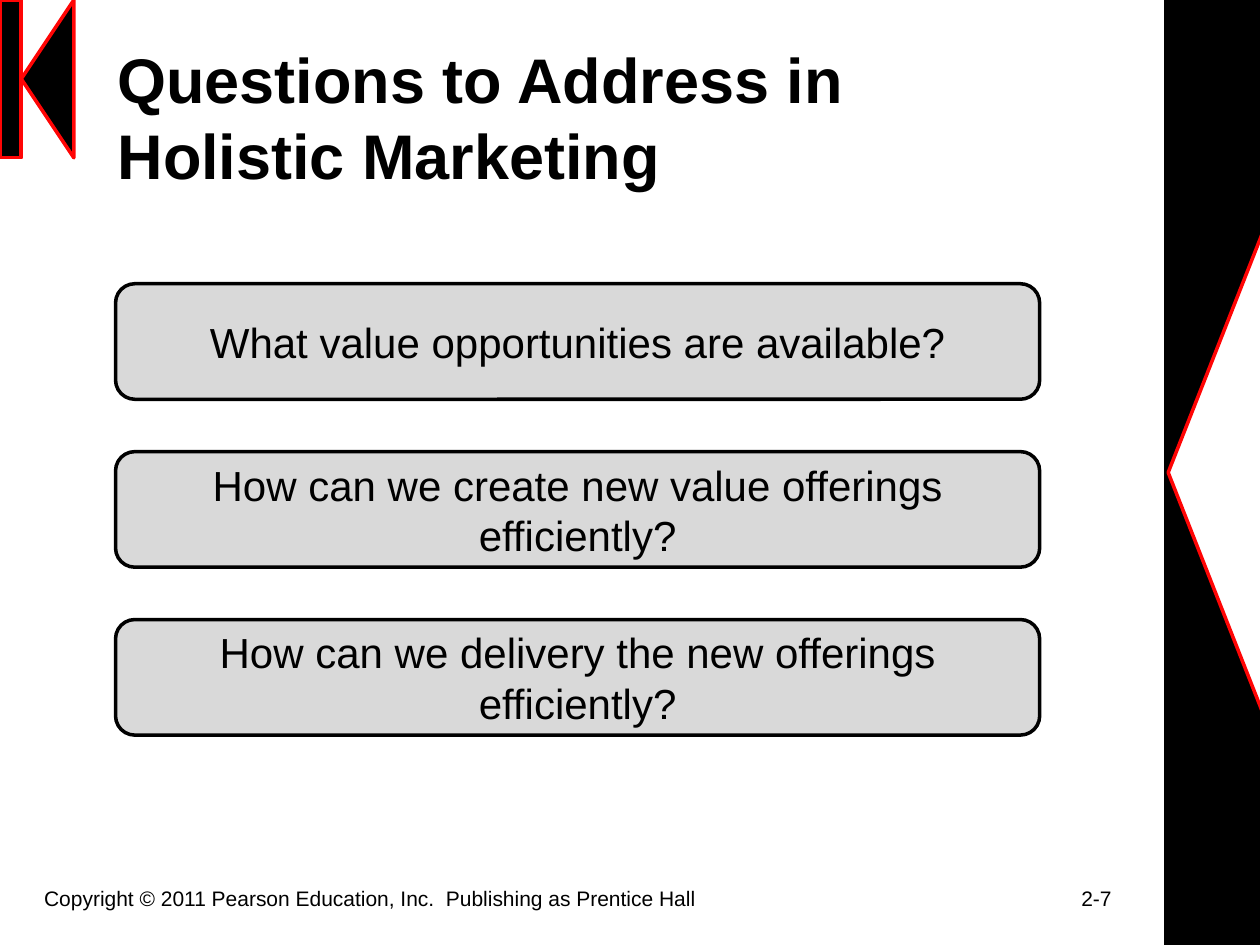
from dataclasses import dataclass

from lxml import etree
from pptx import Presentation
from pptx.dml.color import RGBColor
from pptx.enum.shapes import MSO_SHAPE
from pptx.enum.text import MSO_ANCHOR, PP_ALIGN
from pptx.oxml.ns import qn
from pptx.util import Cm, Pt

RECTANGLE = MSO_SHAPE.RECTANGLE
ROUNDED = MSO_SHAPE.ROUNDED_RECTANGLE
TRIANGLE = MSO_SHAPE.ISOSCELES_TRIANGLE
MIDDLE, TOP = MSO_ANCHOR.MIDDLE, MSO_ANCHOR.TOP
CENTER, LEFT = PP_ALIGN.CENTER, PP_ALIGN.LEFT


@dataclass(frozen=True)
class Theme:
    black: RGBColor = RGBColor(0x00, 0x00, 0x00)
    white: RGBColor = RGBColor(0xFF, 0xFF, 0xFF)
    red: RGBColor = RGBColor(0xFF, 0x05, 0x05)
    gray: RGBColor = RGBColor(0xD9, 0xD9, 0xD9)
    font: str = "Arial"
    title_size: int = 36
    question_size: int = 24
    footer_size: int = 12
    line_width: int = 2


THEME = Theme()
SLIDE_WIDTH, SLIDE_HEIGHT = 25.4, 19.05
QUESTIONS = [
    "What value opportunities are available?",
    "How can we create new value offerings efficiently?",
    "How can we delivery the new offerings efficiently?",
]


def add_filled_shape(slide, kind, box, fill, line):
    shape = slide.shapes.add_shape(kind, *(Cm(length) for length in box))
    shape.shadow.inherit = False
    shape.fill.solid()
    shape.fill.fore_color.rgb = fill
    shape.line.color.rgb = line
    shape.line.width = Pt(THEME.line_width)
    return shape


def add_left_arrowhead(slide, box, fill, line):
    """Fill the box with a triangle whose tip points left."""
    left, top, width, height = box
    shift = (width - height) / 2
    upright_box = (left + shift, top - shift, height, width)
    triangle = add_filled_shape(slide, TRIANGLE, upright_box, fill, line)
    triangle.rotation = 270


def add_text_box(slide, box, anchor):
    text_box = slide.shapes.add_textbox(*(Cm(length) for length in box))
    text_box.text_frame.word_wrap = True
    text_box.text_frame.vertical_anchor = anchor
    return text_box.text_frame


def add_run(paragraph, text, size, bold=False):
    run = paragraph.add_run()
    run.text = text
    run.font.name = THEME.font
    run.font.size = Pt(size)
    run.font.bold = bold
    run.font.color.rgb = THEME.black


def add_right_tab(paragraph, position):
    tab_list = etree.SubElement(paragraph._p.get_or_add_pPr(), qn("a:tabLst"))
    etree.SubElement(tab_list, qn("a:tab"), pos=str(Cm(position)), algn="r")


def add_side_band(slide, box):
    left, top, width, height = box
    add_filled_shape(slide, RECTANGLE, box, THEME.black, THEME.black)
    arrowhead_box = (left + 0.05, top, 2 * width - 0.05, height)
    add_left_arrowhead(slide, arrowhead_box, THEME.white, THEME.red)


def add_corner_mark(slide, box):
    left, top, width, height = box
    bar_width = 0.43
    arrowhead_box = (left + bar_width, top, width - bar_width, height)
    add_left_arrowhead(slide, arrowhead_box, THEME.black, THEME.red)
    bar_box = (left, top, bar_width, height)
    add_filled_shape(slide, RECTANGLE, bar_box, THEME.black, THEME.red)


def add_title(slide, box, lines):
    paragraph = add_text_box(slide, box, MIDDLE).paragraphs[0]
    paragraph.alignment = LEFT
    for index, line in enumerate(lines):
        if index:
            paragraph.add_line_break()
        add_run(paragraph, line, THEME.title_size, bold=True)


def add_questions(slide, box, questions):
    """Stack one rounded panel per question, with equal gaps."""
    left, top, width, height = box
    panel_height = 2.33
    pitch = (height - panel_height) / (len(questions) - 1)
    for index, question in enumerate(questions):
        panel_box = (left, top + index * pitch, width, panel_height)
        panel = add_filled_shape(slide, ROUNDED, panel_box, THEME.gray, THEME.black)
        frame = panel.text_frame
        frame.word_wrap = True
        frame.vertical_anchor = MIDDLE
        paragraph = frame.paragraphs[0]
        paragraph.alignment = CENTER
        add_run(paragraph, question, THEME.question_size)


def add_footer(slide, box, copyright_line, page):
    paragraph = add_text_box(slide, box, TOP).paragraphs[0]
    paragraph.alignment = LEFT
    add_right_tab(paragraph, 21.52)
    add_run(paragraph, copyright_line, THEME.footer_size)
    add_run(paragraph, "\t" + page, THEME.footer_size)


def main():
    presentation = Presentation()
    presentation.slide_width = Cm(SLIDE_WIDTH)
    presentation.slide_height = Cm(SLIDE_HEIGHT)
    slide = presentation.slides.add_slide(presentation.slide_layouts[6])

    band_left = 23.5
    add_side_band(slide, (band_left, 0, SLIDE_WIDTH - band_left, SLIDE_HEIGHT))
    add_corner_mark(slide, (0, 0, 1.49, 3.18))
    add_title(slide, (2.12, 0.76, 21.38, 3.18),
              ["Questions to Address in ", "Holistic Marketing"])
    add_footer(slide, (0.64, 17.73, 23.92, 1.32),
               "Copyright © 2011 Pearson Education, Inc.  Publishing as Prentice Hall",
               "2-7")
    add_questions(slide, (2.33, 5.72, 18.63, 9.1), QUESTIONS)
    presentation.save("out.pptx")


if __name__ == "__main__":
    main()
